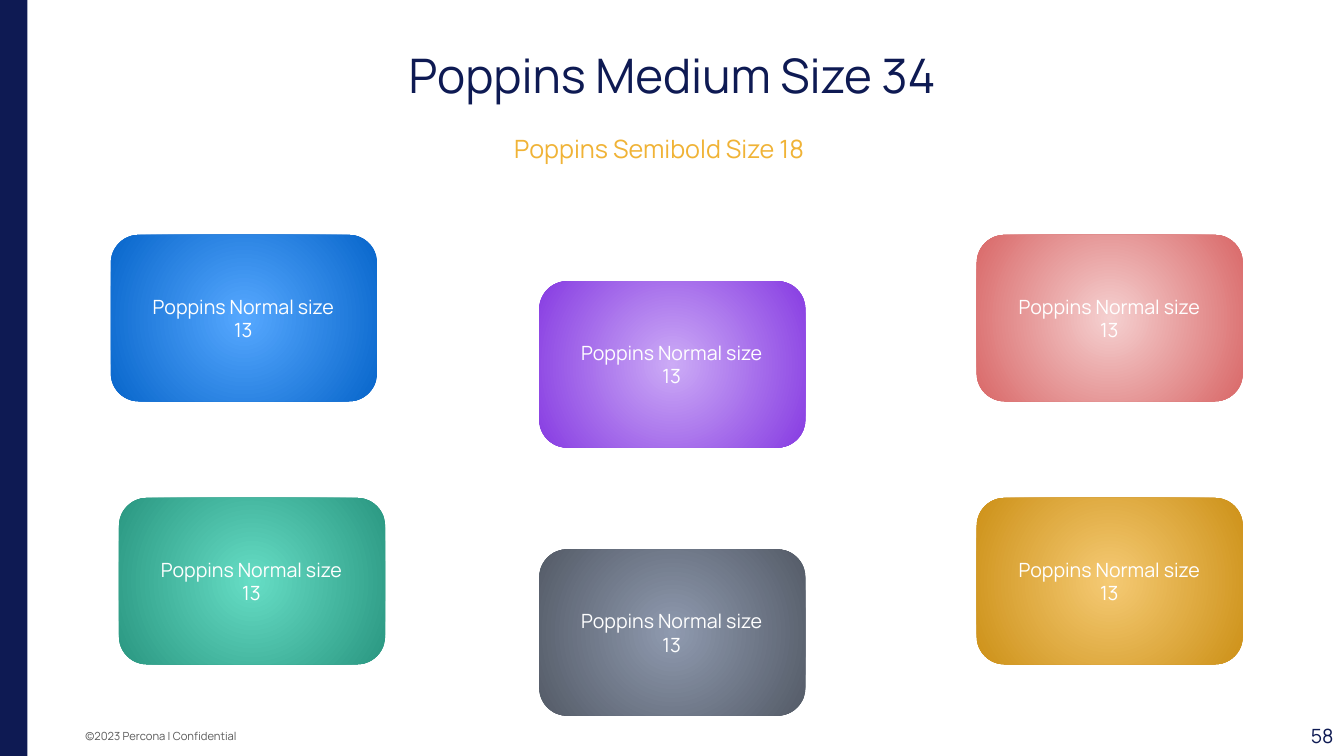
from pptx import Presentation
from pptx.dml.color import RGBColor
from pptx.enum.shapes import MSO_SHAPE
from pptx.enum.text import MSO_ANCHOR, PP_ALIGN
from pptx.oxml import parse_xml
from pptx.oxml.ns import nsdecls
from pptx.util import Pt

NAVY = RGBColor(0x0E, 0x1A, 0x53)
GOLD = RGBColor(0xF0, 0xB3, 0x36)
GRAY = RGBColor(0x59, 0x59, 0x59)
WHITE = RGBColor(0xFF, 0xFF, 0xFF)
BLUES = RGBColor(0x56, 0xA8, 0xFF), RGBColor(0x08, 0x66, 0xCB)
GREENS = RGBColor(0x66, 0xDD, 0xC5), RGBColor(0x2A, 0x97, 0x81)
REDS = RGBColor(0xF5, 0xD0, 0xD0), RGBColor(0xD9, 0x68, 0x68)
GOLDS = RGBColor(0xF5, 0xCA, 0x74), RGBColor(0xCD, 0x91, 0x18)
PURPLES = RGBColor(0xCC, 0xAB, 0xF6), RGBColor(0x87, 0x3C, 0xE2)
SLATES = RGBColor(0x8F, 0x9A, 0xAF), RGBColor(0x54, 0x5B, 0x67)

deck = Presentation()
deck.slide_width, deck.slide_height = Pt(960), Pt(540)
slide = deck.slides.add_slide(deck.slide_layouts[6])


def add_text(words, left, top, width, height, size, color, align, pad=7.2):
    box = slide.shapes.add_textbox(Pt(left), Pt(top), Pt(width), Pt(height))
    frame = box.text_frame
    frame.word_wrap = True
    frame.vertical_anchor = MSO_ANCHOR.MIDDLE
    frame.margin_left = frame.margin_right = Pt(7.2)
    frame.margin_top = frame.margin_bottom = Pt(pad)
    line = frame.paragraphs[0]
    line.text = words
    line.alignment = align
    line.font.name = "Manrope"
    line.font.size = Pt(size)
    line.font.color.rgb = color
    return line


def add_block(kind, left, top, width, height):
    block = slide.shapes.add_shape(kind, Pt(left), Pt(top), Pt(width), Pt(height))
    block.shadow.inherit = False
    block.line.fill.background()
    return block


bar = add_block(MSO_SHAPE.RECTANGLE, 0, 0, 19.6, 540)
bar.fill.solid()
bar.fill.fore_color.rgb = NAVY

add_text("©2023 Percona | Confidential", 54, 515.5, 350.6, 20.9, 8, GRAY, PP_ALIGN.LEFT)
add_text("58", 839.5, 511.2, 120.2, 28.8, 14, NAVY, PP_ALIGN.RIGHT, 3.6)

title = add_text("Poppins Medium Size 34", 82.8, 21.6, 794.9, 67.7, 34, NAVY, PP_ALIGN.CENTER, 3.6)
title.line_spacing = 0.9
add_text("Poppins Semibold Size 18", 105.8, 87.8, 730.1, 36, 18, GOLD, PP_ALIGN.CENTER)

cards = [
    (79.2, 167.8, BLUES),
    (85, 355.7, GREENS),
    (385.2, 200.9, PURPLES),
    (385.2, 392.4, SLATES),
    (697.7, 167.8, REDS),
    (697.7, 355.7, GOLDS),
]
for left, top, (inner, outer) in cards:
    card = add_block(MSO_SHAPE.ROUNDED_RECTANGLE, left, top, 190.1, 118.8)
    card.adjustments[0] = 0.167
    glow = parse_xml(
        f'<a:gradFill {nsdecls("a")} rotWithShape="1"><a:gsLst>'
        f'<a:gs pos="0"><a:srgbClr val="{inner}"/></a:gs>'
        f'<a:gs pos="100000"><a:srgbClr val="{outer}"/></a:gs></a:gsLst>'
        '<a:path path="circle"><a:fillToRect l="50000" t="50000" r="50000" b="50000"/>'
        '</a:path></a:gradFill>'
    )
    card.element.spPr.find("{*}prstGeom").addnext(glow)
    add_text("Poppins Normal size 13", left + 15.8, top + 35.3, 157.7, 48.2, 14, WHITE, PP_ALIGN.CENTER)

deck.save("out.pptx")
